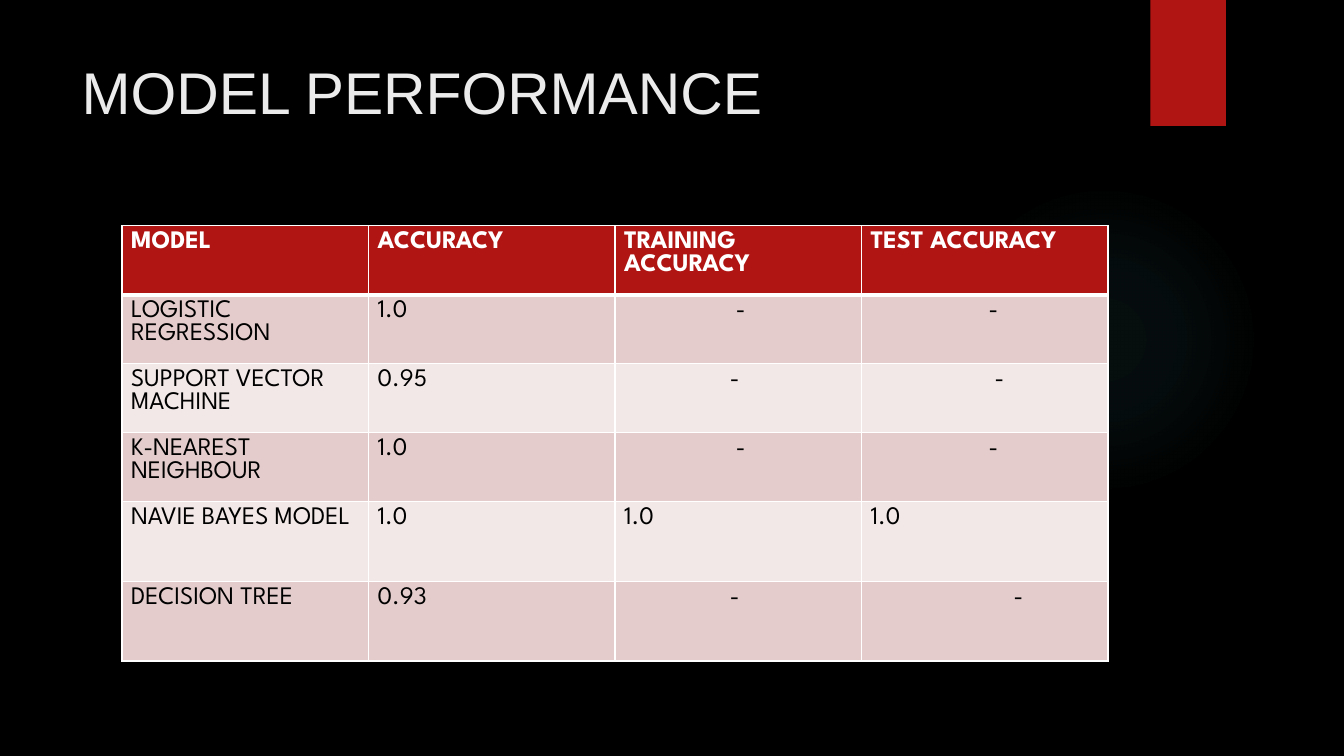
"""Build the model performance slide."""
from pptx import Presentation
from pptx.dml.color import RGBColor
from pptx.enum.shapes import MSO_SHAPE
from pptx.enum.text import MSO_ANCHOR, PP_ALIGN
from pptx.oxml import parse_xml
from pptx.util import Inches, Pt

OVAL, RECT = MSO_SHAPE.OVAL, MSO_SHAPE.RECTANGLE
TOP, LEFT = MSO_ANCHOR.TOP, PP_ALIGN.LEFT
BLACK = RGBColor(0x00, 0x00, 0x00)
WHITE = RGBColor(0xFF, 0xFF, 0xFF)
PALE = RGBColor(0xEB, 0xEB, 0xEB)
RED = RGBColor(0xB0, 0x15, 0x13)
ROSE = RGBColor(0xE4, 0xCC, 0xCC)
BLUSH = RGBColor(0xF2, 0xE8, 0xE7)
TEAL = RGBColor(0x50, 0xB9, 0xC1)
NS = 'xmlns:a="http://schemas.openxmlformats.org/drawingml/2006/main"'
GLOW = [(0, 7), (36, 6), (69, 0)]
HEADS = ["MODEL", "ACCURACY", "TRAINING ACCURACY", "TEST ACCURACY"]
SCORES = [
    ["LOGISTIC REGRESSION", "1.0", "-", "-"],
    ["SUPPORT VECTOR MACHINE", "0.95", "-", "-"],
    ["K-NEAREST NEIGHBOUR", "1.0", "-", "-"],
    ["NAVIE BAYES MODEL", "1.0", "1.0", "1.0"],
    ["DECISION TREE", "0.93", "-", "-"],
]
INDENTS = {(1, 2): 1.2, (1, 3): 1.26, (2, 2): 1.14, (2, 3): 1.32,
           (3, 2): 1.2, (3, 3): 1.26, (5, 2): 1.14, (5, 3): 1.51}
HEIGHTS = [0.685] * 4 + [0.79] * 2


def add_shape(slide, kind, x, y, w, h):
    shape = slide.shapes.add_shape(kind, Inches(x), Inches(y), Inches(w), Inches(h))
    shape.shadow.inherit = False
    shape.line.fill.background()
    return shape


def add_glow(slide):
    glow = add_shape(slide, OVAL, 9.41, 1.83, 3.08, 3.08)
    stops = "".join(
        f'<a:gs pos="{pos * 1000}"><a:srgbClr val="{TEAL}">'
        f'<a:alpha val="{alpha * 1000}"/></a:srgbClr></a:gs>'
        for pos, alpha in GLOW)
    fill = parse_xml(
        f'<a:gradFill {NS} rotWithShape="1"><a:gsLst>{stops}</a:gsLst>'
        '<a:path path="circle"><a:fillToRect l="50000" t="50000" r="50000" b="50000"/>'
        '</a:path></a:gradFill>')
    glow.line._get_or_add_ln().addprevious(fill)


def add_tab(slide):
    tab = add_shape(slide, RECT, 11.41, 0, 0.75, 1.25)
    tab.fill.solid()
    tab.fill.fore_color.rgb = RED


def style_font(para, name, size, color, bold=False):
    for run in para.runs:
        run.font.name = name
        run.font.size = Pt(size)
        run.font.color.rgb = color
        run.font.bold = bold


def set_title(slide, text):
    title = slide.shapes.title
    title.left, title.top = Inches(0.71), Inches(0.5)
    title.width, title.height = Inches(10.29), Inches(1.53)
    frame = title.text_frame
    frame.text = text
    frame.vertical_anchor = TOP
    para = frame.paragraphs[0]
    para.alignment = LEFT
    style_font(para, "Arial", 42, PALE)


def set_edges(cell, widths):
    props = cell._tc.get_or_add_tcPr()
    for spot, (side, width) in enumerate(widths.items()):
        props.insert(spot, parse_xml(
            f'<a:ln{side} {NS} w="{Pt(width)}"><a:solidFill>'
            f'<a:srgbClr val="{WHITE}"/></a:solidFill></a:ln{side}>'))


def fill_cell(cell, text, row, indent):
    head = row == 0
    cell.fill.solid()
    cell.fill.fore_color.rgb = RED if head else ROSE if row % 2 else BLUSH
    cell.margin_left = Inches(indent)
    cell.text_frame.text = text
    style_font(cell.text_frame.paragraphs[0], "League Spartan", 18,
               WHITE if head else BLACK, head)
    set_edges(cell, {"L": 1, "R": 1, "T": 3 if row == 1 else 1, "B": 3 if head else 1})


def add_scores(slide):
    rows = [HEADS] + SCORES
    frame = slide.shapes.add_table(len(rows), len(HEADS), Inches(1.21), Inches(2.24),
                                   Inches(9.78), Inches(sum(HEIGHTS)))
    table = frame.table
    for col in table.columns:
        col.width = Inches(9.78 / len(HEADS))
    for r, texts in enumerate(rows):
        table.rows[r].height = Inches(HEIGHTS[r])
        for c, text in enumerate(texts):
            fill_cell(table.cell(r, c), text, r, INDENTS.get((r, c), 0.09))


def main():
    deck = Presentation()
    deck.slide_width, deck.slide_height = Inches(13.33), Inches(7.5)
    slide = deck.slides.add_slide(deck.slide_layouts[5])
    slide.background.fill.solid()
    slide.background.fill.fore_color.rgb = BLACK
    add_glow(slide)
    add_tab(slide)
    set_title(slide, "MODEL PERFORMANCE")
    add_scores(slide)
    deck.save("out.pptx")


if __name__ == "__main__":
    main()
